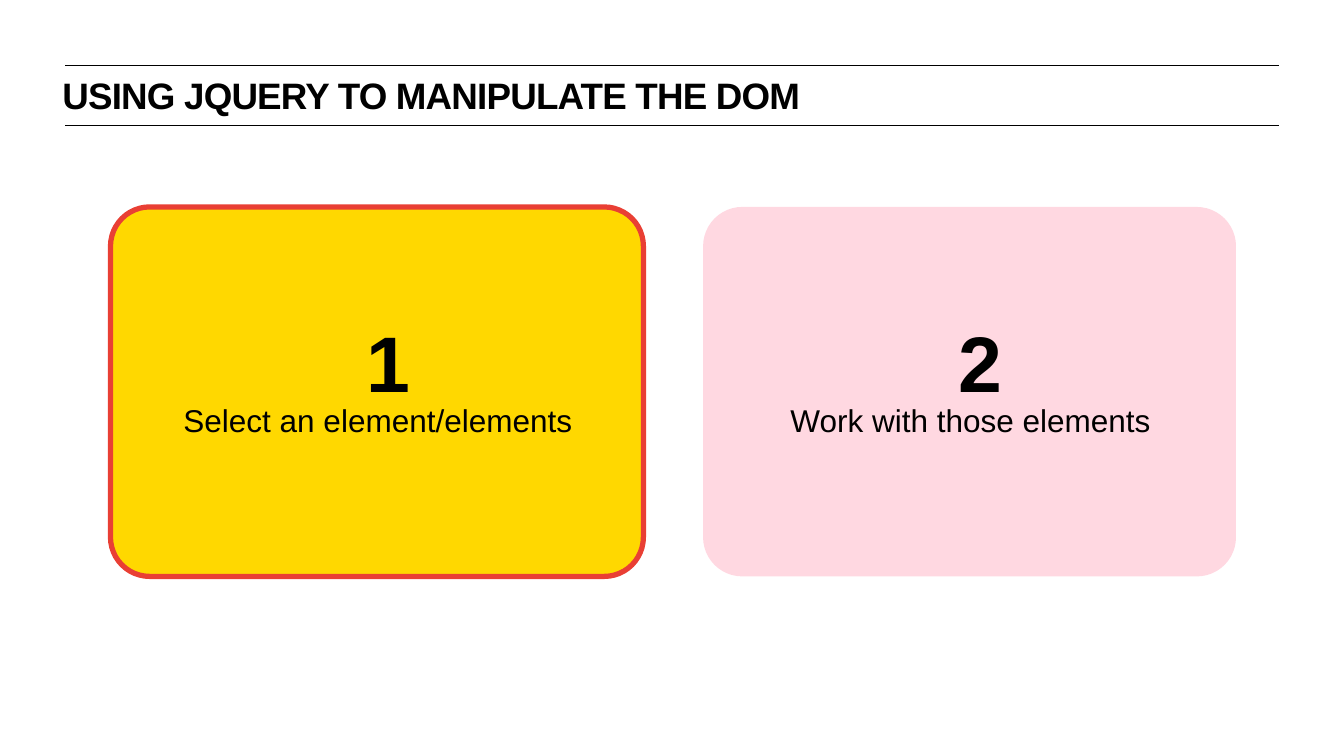
"""Build the two-step slide on using jQuery to manipulate the DOM."""
from dataclasses import dataclass
from typing import Optional

import pptx
import pptx.dml.color
import pptx.enum.shapes
import pptx.enum.text
import pptx.oxml.ns
import pptx.slide
import pptx.util
from lxml import etree

Pt = pptx.util.Pt
RGBColor = pptx.dml.color.RGBColor
PP_ALIGN = pptx.enum.text.PP_ALIGN
MSO_ANCHOR = pptx.enum.text.MSO_ANCHOR
qn = pptx.oxml.ns.qn

BLACK = RGBColor(0x00, 0x00, 0x00)
YELLOW = RGBColor(0xFF, 0xD8, 0x00)
RED = RGBColor(0xE9, 0x3F, 0x34)
PINK = RGBColor(0xFF, 0xB0, 0xC3)

FONT = "Arial"
RULE_LEFT, RULE_RIGHT = 49.7, 974.2
RULE_TOPS = (49.7, 95.8)
CARD_LEFT, CARD_TOP, CARD_W, CARD_H = 84.2, 157.7, 406, 281.5
CARD_PITCH = 451.5
NUMBER_SHIFT, LABEL_SHIFT = 8.6, 0.7
INSET = 4


@dataclass(frozen=True)
class Step:
    label: str
    label_width: float
    fill: RGBColor
    opacity: int = 100
    border: Optional[RGBColor] = None


STEPS = (
    Step("Select an element/elements", 305.3, YELLOW, border=RED),
    Step("Work with those elements", 283.7, PINK, opacity=49),
)


def add_rule(s: pptx.slide.Slide, top: float) -> None:
    sp = s.shapes.add_connector(
        pptx.enum.shapes.MSO_CONNECTOR.STRAIGHT,
        Pt(RULE_LEFT), Pt(top), Pt(RULE_RIGHT), Pt(top))
    sp.line.color.rgb = BLACK
    sp.line.width = Pt(1)
    etree.SubElement(sp._element.spPr, qn("a:effectLst"))


def set_title(s: pptx.slide.Slide, text: str) -> None:
    sp = s.shapes.title
    sp.left, sp.top, sp.width, sp.height = Pt(47.5), Pt(56.9), Pt(607.7), Pt(31.7)
    tf = sp.text_frame
    tf.margin_left = tf.margin_top = tf.margin_right = tf.margin_bottom = 0
    tf.vertical_anchor = MSO_ANCHOR.TOP
    tf.auto_size = pptx.enum.text.MSO_AUTO_SIZE.NONE
    p = tf.paragraphs[0]
    p.alignment = PP_ALIGN.LEFT
    p.line_spacing = Pt(32)
    r = p.add_run()
    r.text = text
    r.font.name, r.font.size, r.font.bold = FONT, Pt(28), True
    r.font.color.rgb = BLACK
    r._r.get_or_add_rPr().set("spc", "-60")


def add_text(s: pptx.slide.Slide, text: str, center: float, top: float,
             width: float, height: float, size: float, bold: bool = False) -> None:
    sp = s.shapes.add_textbox(Pt(center - width / 2), Pt(top), Pt(width), Pt(height))
    tf = sp.text_frame
    tf.word_wrap = False
    tf.vertical_anchor = MSO_ANCHOR.MIDDLE
    tf.margin_left = tf.margin_top = tf.margin_right = tf.margin_bottom = Pt(INSET)
    p = tf.paragraphs[0]
    p.text = text
    p.alignment = PP_ALIGN.CENTER
    p.font.name, p.font.size, p.font.bold = FONT, Pt(size), bold
    p.font.color.rgb = BLACK


def add_card(s: pptx.slide.Slide, left: float, step: Step) -> None:
    sp = s.shapes.add_shape(
        pptx.enum.shapes.MSO_SHAPE.ROUNDED_RECTANGLE,
        Pt(left), Pt(CARD_TOP), Pt(CARD_W), Pt(CARD_H))
    sp.adjustments[0] = 0.106
    sp.shadow.inherit = False
    sp.fill.solid()
    sp.fill.fore_color.rgb = step.fill
    if step.opacity < 100:
        color = sp._element.spPr.find(qn("a:solidFill")).find(qn("a:srgbClr"))
        etree.SubElement(color, qn("a:alpha"), val=str(step.opacity * 1000))
    if step.border is None:
        sp.line.fill.background()
    else:
        sp.line.color.rgb = step.border
        sp.line.width = Pt(4)


def main() -> None:
    prs = pptx.Presentation()
    prs.slide_width, prs.slide_height = Pt(1024), Pt(575.3)
    s = prs.slides.add_slide(prs.slide_layouts.get_by_name("Title Only"))

    for top in RULE_TOPS:
        add_rule(s, top)
    set_title(s, "USING JQUERY TO MANIPULATE THE DOM")

    for i, step in enumerate(STEPS):
        left = CARD_LEFT + i * CARD_PITCH
        center = left + CARD_W / 2
        add_card(s, left, step)
        add_text(s, str(i + 1), center + NUMBER_SHIFT, 235.4, 42.5, 79.9, 60, bold=True)
        add_text(s, step.label, center + LABEL_SHIFT, 301.7, step.label_width, 36.7, 24)

    prs.save("out.pptx")


if __name__ == "__main__":
    main()
